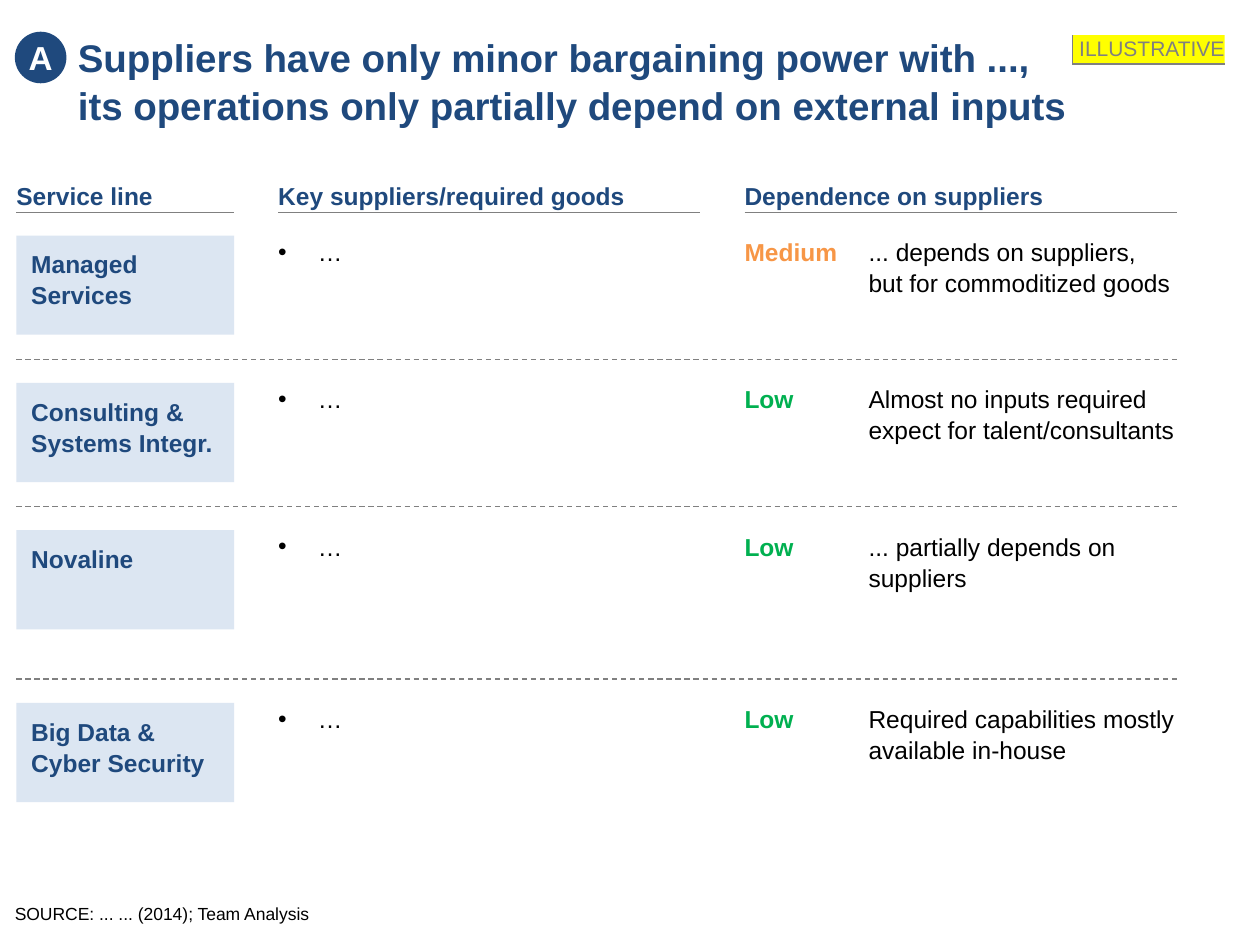
from dataclasses import dataclass

from lxml.etree import SubElement
from pptx import Presentation
from pptx.dml.color import RGBColor
from pptx.enum.dml import MSO_LINE
from pptx.enum.shapes import MSO_CONNECTOR, MSO_SHAPE
from pptx.enum.text import MSO_ANCHOR as Anchor, MSO_AUTO_SIZE, PP_ALIGN as Align
from pptx.oxml.ns import qn
from pptx.util import Cm, Pt


@dataclass(frozen=True)
class Theme:
    font: str = "Arial"
    navy: str = "1F497D"
    pale: str = "DCE6F2"
    grey: str = "808080"
    black: str = "000000"
    white: str = "FFFFFF"
    yellow: str = "FFFF00"
    medium: str = "F79646"
    low: str = "00B050"
    title: int = 22
    badge: int = 19
    body: int = 14
    tag: int = 12
    source: int = 10


THEME = Theme()

HEADINGS = ["Service line", "Key suppliers/required goods", "Dependence on suppliers"]
COLUMNS = [(0, 4.39), (5.28, 8.51), (14.68, 8.71)]  # offset and width in cm
ROWS = [
    ("Managed Services", "…", "Medium", THEME.medium,
     "... depends on suppliers, but for commoditized goods"),
    ("Consulting & Systems Integr.", "…", "Low", THEME.low,
     "Almost no inputs required expect for talent/consultants"),
    ("Novaline", "…", "Low", THEME.low, "... partially depends on suppliers"),
    ("Big Data & Cyber Security", "…", "Low", THEME.low,
     "Required capabilities mostly available in-house"),
]
ROW_PITCH = 2.97
LAST_ROW_GAP = 0.51


def write(shape, text, size, color, bold=False, align=Align.LEFT,
          anchor=Anchor.TOP, wrap=True, spacing=1.05):
    """Put one formatted run into a shape without inner margins."""
    frame = shape.text_frame
    frame.margin_left = frame.margin_right = frame.margin_top = frame.margin_bottom = 0
    frame.word_wrap = wrap
    frame.auto_size = MSO_AUTO_SIZE.NONE
    frame.vertical_anchor = anchor
    paragraph = frame.paragraphs[0]
    paragraph.alignment = align
    paragraph.line_spacing = spacing
    run = paragraph.add_run()
    run.text = text
    run.font.name = THEME.font
    run.font.size = Pt(size)
    run.font.bold = bold
    run.font.color.rgb = RGBColor.from_string(color)
    return paragraph


def add_text(slide, left, top, width, height, text, size=THEME.body,
             color=THEME.black, **options):
    box = slide.shapes.add_textbox(Cm(left), Cm(top), Cm(width), Cm(height))
    return write(box, text, size, color, **options)


def add_block(slide, kind, left, top, width, height, fill):
    shape = slide.shapes.add_shape(kind, Cm(left), Cm(top), Cm(width), Cm(height))
    shape.shadow.inherit = False
    shape.fill.solid()
    shape.fill.fore_color.rgb = RGBColor.from_string(fill)
    shape.line.fill.background()
    return shape


def add_rule(slide, x1, y1, x2, y2, weight=0.75, dashed=False):
    rule = slide.shapes.add_connector(
        MSO_CONNECTOR.STRAIGHT, Cm(x1), Cm(y1), Cm(x2), Cm(y2))
    rule.line.color.rgb = RGBColor.from_string(THEME.grey)
    rule.line.width = Pt(weight)
    if dashed:
        rule.line.dash_style = MSO_LINE.DASH
    SubElement(rule._element.spPr, qn("a:effectLst"))


def add_bullet(paragraph, indent):
    properties = paragraph._p.get_or_add_pPr()
    properties.set("marL", str(Cm(indent)))
    properties.set("indent", str(-Cm(indent)))
    SubElement(properties, qn("a:buFont")).set("typeface", THEME.font)
    SubElement(properties, qn("a:buChar")).set("char", "•")


def build_header(slide, left, top, width, height):
    # Lettered badge
    badge = add_block(slide, MSO_SHAPE.OVAL, left, top, 1.04, 1.04, THEME.navy)
    write(badge, "A", THEME.badge, THEME.white, bold=True, align=Align.CENTER,
          anchor=Anchor.MIDDLE, wrap=False, spacing=1)
    # Title
    title = slide.shapes.title
    title.left, title.top = Cm(left + 1.27), Cm(top)
    title.width, title.height = Cm(width - 1.27), Cm(height)
    write(title, "Suppliers have only minor bargaining power with ..., "
          "its operations only partially depend on external inputs",
          THEME.title, THEME.navy, bold=True)


def build_tag(slide, left, top, width, height):
    tag = add_block(slide, MSO_SHAPE.RECTANGLE, left, top, width, height, THEME.yellow)
    write(tag, "ILLUSTRATIVE", THEME.tag, THEME.grey, align=Align.RIGHT, wrap=False,
          spacing=1)
    add_rule(slide, left, top + height, left + width, top + height, weight=1.5)
    add_rule(slide, left, top, left, top + height)


def build_row(slide, left, top, row):
    service, supplies, rating, rating_color, reason = row
    (service_x, service_w), (goods_x, goods_w), (rating_x, rating_w) = COLUMNS
    # Service line
    add_block(slide, MSO_SHAPE.RECTANGLE, left + service_x, top, service_w, 2, THEME.pale)
    add_text(slide, left + service_x + 0.3, top + 0.25, service_w - 0.4, 1.2, service,
             color=THEME.navy, bold=True)
    # Key suppliers
    add_bullet(add_text(slide, left + goods_x, top, goods_w, 0.6, supplies), 0.8)
    # Rating and reason
    add_text(slide, left + rating_x, top, 2, 0.6, rating, color=rating_color, bold=True)
    add_text(slide, left + rating_x + 2.5, top, rating_w - 2.5, 1.2, reason)


def build_matrix(slide, left, top, width):
    # Underlined column headings
    for heading, (offset, column_width) in zip(HEADINGS, COLUMNS):
        x = left + offset
        add_text(slide, x, top, column_width, 0.6, heading, color=THEME.navy,
                 bold=True, anchor=Anchor.BOTTOM)
        add_rule(slide, x, top + 0.64, x + column_width, top + 0.64)
    # Rows with dashed separators
    for index, row in enumerate(ROWS):
        y = top + 1.1 + index * ROW_PITCH
        if index == len(ROWS) - 1:
            y += LAST_ROW_GAP
        if index:
            add_rule(slide, left, y - 0.48, left + width, y - 0.48, dashed=True)
        build_row(slide, left, y, row)


def main():
    presentation = Presentation()
    presentation.slide_width, presentation.slide_height = Cm(25.4), Cm(19.05)
    slide = presentation.slides.add_slide(presentation.slide_layouts[5])
    build_header(slide, 0.3, 0.64, 21.31, 1.88)
    build_tag(slide, 21.62, 0.71, 3.07, 0.58)
    build_matrix(slide, 0.33, 3.65, 23.4)
    add_text(slide, 0.3, 18.19, 9.96, 0.43, "SOURCE: ... ... (2014); Team Analysis",
             size=THEME.source)
    presentation.save("out.pptx")


if __name__ == "__main__":
    main()
